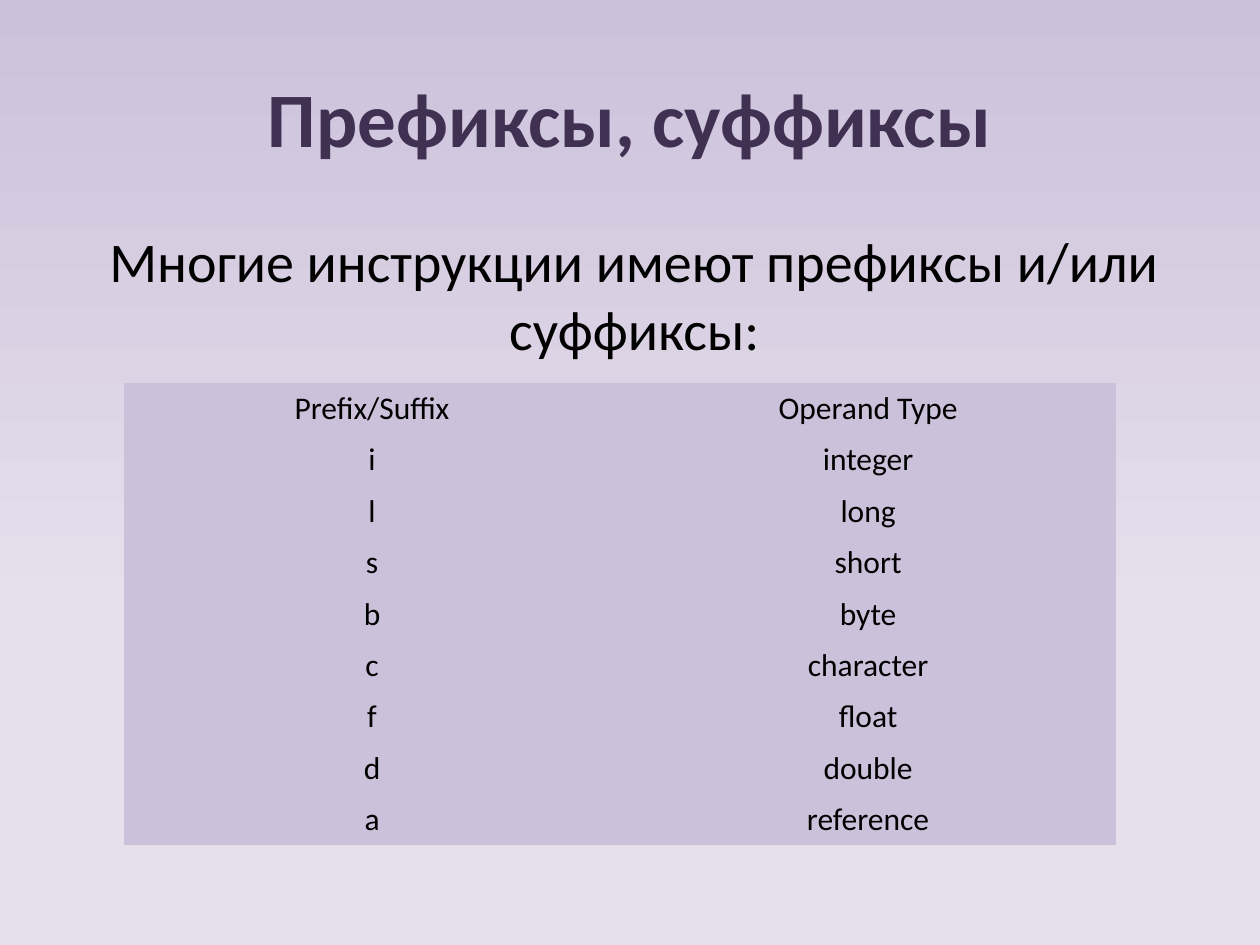
from pptx import Presentation
from pptx.dml.color import RGBColor
from pptx.enum.text import MSO_ANCHOR as Anchor, PP_ALIGN as Align
from pptx.oxml.ns import qn
from pptx.util import Cm, Pt

LILAC, PALE, PLUM, BLACK = "CCC1DA", "E6E0EC", "403152", "000000"
NO_GRID_STYLE = "{2D5ABB26-0587-4C30-8999-92F81FD0307C}"
OPERAND_TYPES = [
    ("Prefix/Suffix", "Operand Type"),
    ("i", "integer"),
    ("l", "long"),
    ("s", "short"),
    ("b", "byte"),
    ("c", "character"),
    ("f", "float"),
    ("d", "double"),
    ("a", "reference"),
]


def color(hex_code):
    return RGBColor.from_string(hex_code)


def write(frame, text, size=18, ink=BLACK, bold=False, before=0):
    para = frame.paragraphs[0]
    para.alignment = Align.CENTER
    para.space_before = Pt(before)
    span = para.add_run()
    span.text = text
    span.font.name = "Calibri"
    span.font.size = Pt(size)
    span.font.bold = bold
    span.font.color.rgb = color(ink)


def paint_background(page):
    fill = page.background.fill
    fill.gradient()
    fill.gradient_angle = 270
    for stop, (position, tint) in zip(fill.gradient_stops, [(0, LILAC), (0.65, PALE)]):
        stop.position = position
        stop.color.rgb = color(tint)


def add_text(page, box, text, anchor=Anchor.TOP, **style):
    frame = page.shapes.add_textbox(*map(Cm, box)).text_frame
    frame.word_wrap = True
    frame.vertical_anchor = anchor
    write(frame, text, **style)


def add_type_table(page, box, rows):
    left, top, width, height = map(Cm, box)
    table = page.shapes.add_table(len(rows), len(rows[0]), left, top, width, height).table
    table._tbl.tblPr.find(qn("a:tableStyleId")).text = NO_GRID_STYLE
    for r, row in enumerate(rows):
        for c, text in enumerate(row):
            cell = table.cell(r, c)
            cell.fill.solid()
            cell.fill.fore_color.rgb = color(LILAC)
            cell.vertical_anchor = Anchor.MIDDLE
            write(cell.text_frame, text)


deck = Presentation()
deck.slide_width, deck.slide_height = Cm(25.4), Cm(19.05)
page = deck.slides.add_slide(deck.slide_layouts[6])
paint_background(page)

# Title and introduction
add_text(page, (1.27, 0.76, 22.86, 3.18), "Префиксы, суффиксы",
         anchor=Anchor.MIDDLE, size=44, ink=PLUM, bold=True)
add_text(page, (1.27, 4.45, 23.04, 14.27), "Многие инструкции имеют префиксы и/или суффиксы:",
         size=32, before=6.4)

# Operand types
add_type_table(page, (2.5, 7.72, 20, 9.33), OPERAND_TYPES)

deck.save("out.pptx")
